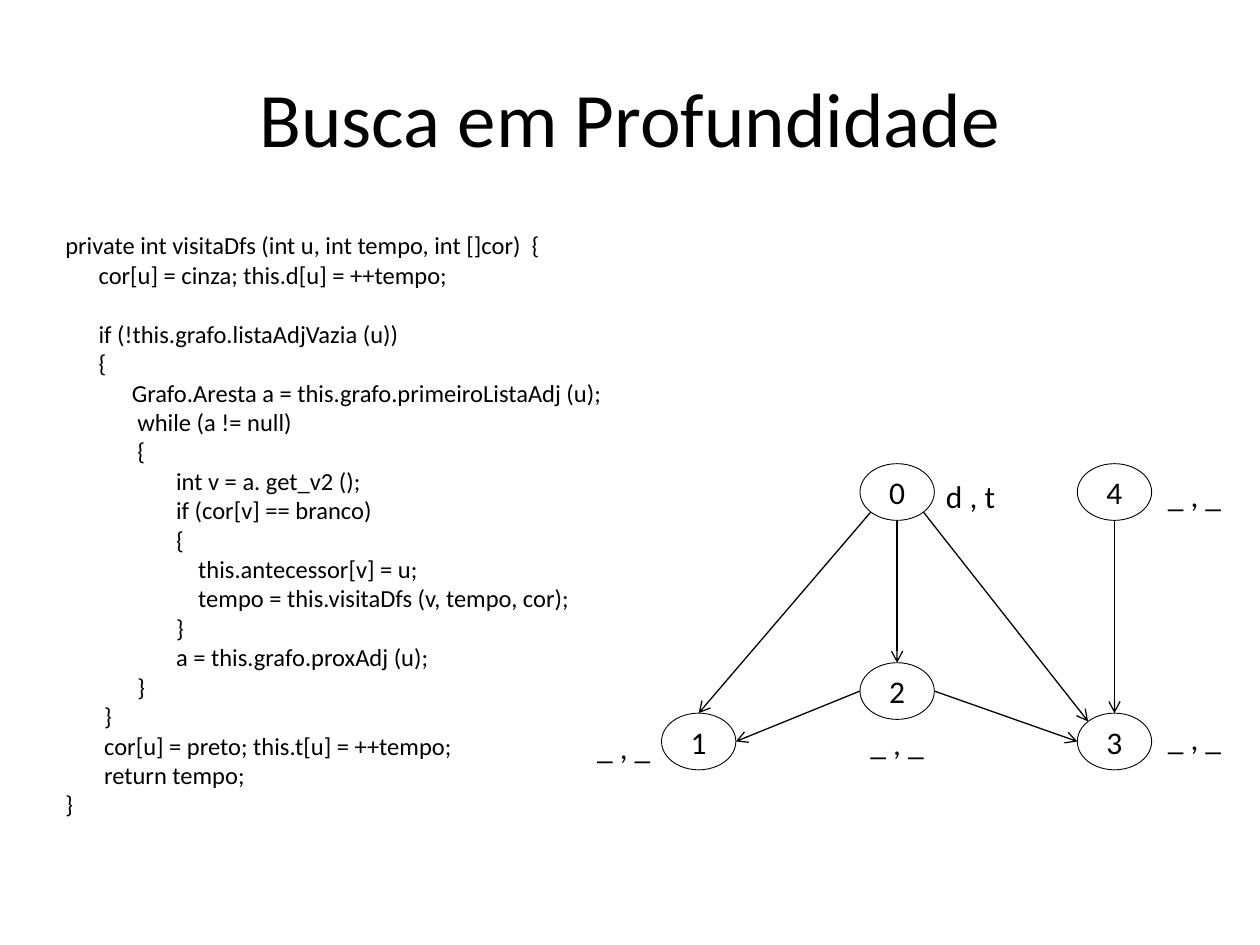
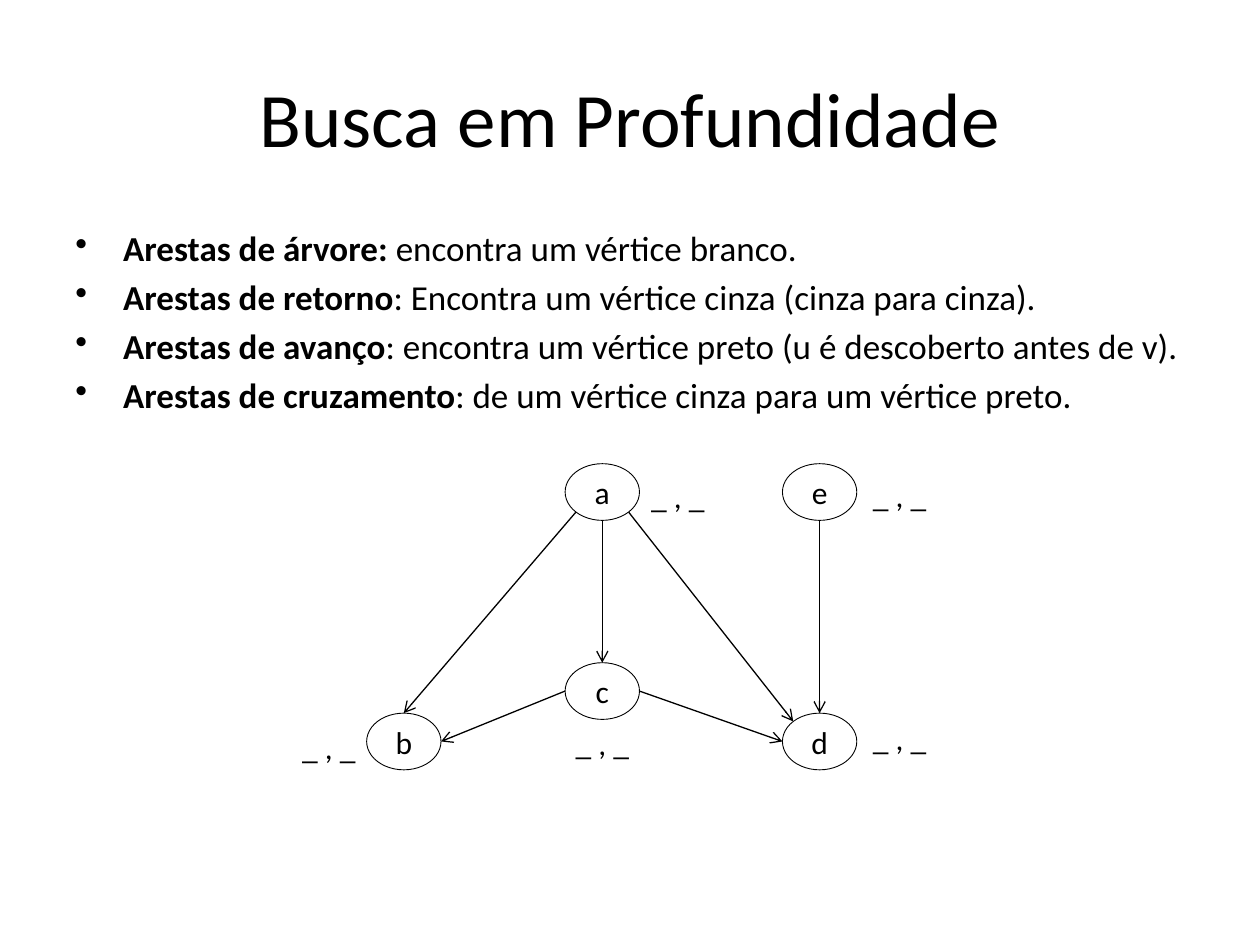
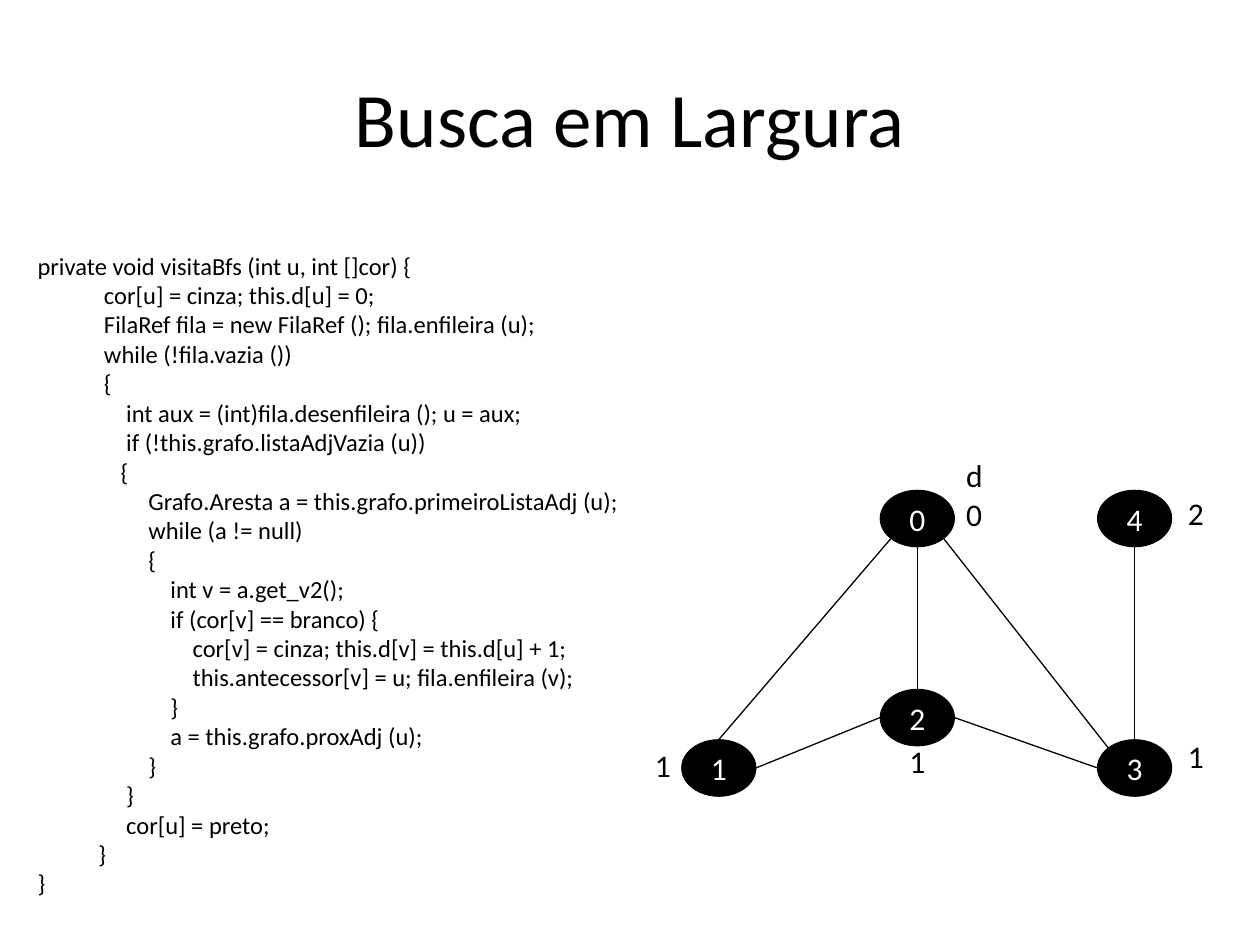
from lxml import etree
from pptx import Presentation
from pptx.dml.color import RGBColor
from pptx.enum import shapes, text
from pptx.oxml.ns import qn
from pptx.util import Inches, Pt

FONT = "Calibri"
BLACK, WHITE = "000000", "FFFFFF"
CENTER = text.PP_ALIGN.CENTER

# The slide is a grid of 100 columns by 75 rows of square cells
COLUMNS = 100
TITLE_BOX = (5, 3, 90, 12.5)
BODY_BOX = (5, 17.5, 90, 49.5)
NODE_W, NODE_H = 5.9, 4.5
LABEL_H = 4

# Node places, relative to the top left of the graph
NODES = [(15.75, 0), (0, 19.8), (15.75, 15.8), (33, 19.8), (33, 0)]

# Points on a node's outline, as shares of its half width and half height
TOP, BOTTOM, LEFT, RIGHT = (0, -1), (0, 1), (-1, 0), (1, 0)
LOWER_LEFT, LOWER_RIGHT, UPPER_LEFT = (-0.71, 0.71), (0.71, 0.71), (-0.71, -0.71)
EDGES = [
    (0, LOWER_LEFT, 1, TOP),
    (0, BOTTOM, 2, TOP),
    (0, LOWER_RIGHT, 3, UPPER_LEFT),
    (2, LEFT, 1, RIGHT),
    (2, RIGHT, 3, LEFT),
    (4, BOTTOM, 3, TOP),
]

DFS_CODE = [
    "private int visitaDfs (int u, int tempo, int []cor)  {",
    "      cor[u] = cinza; this.d[u] = ++tempo;",
    "        ",
    "      if (!this.grafo.listaAdjVazia (u))",
    "      {",
    "            Grafo.Aresta a = this.grafo.primeiroListaAdj (u);",
    "             while (a != null)",
    "             {",
    "                    int v = a. get_v2 ();",
    "                    if (cor[v] == branco)",
    "                    {",
    "                        this.antecessor[v] = u;",
    "                        tempo = this.visitaDfs (v, tempo, cor);",
    "                    }",
    "                    a = this.grafo.proxAdj (u);",
    "             }",
    "       }",
    "       cor[u] = preto; this.t[u] = ++tempo;",
    "       return tempo;",
    "}",
]

BFS_CODE = [
    "private void visitaBfs (int u, int []cor) {",
    "            cor[u] = cinza; this.d[u] = 0;",
    "            FilaRef fila = new FilaRef (); fila.enfileira (u);",
    "            while (!fila.vazia ())",
    "            {",
    "                int aux = (int)fila.desenfileira (); u = aux;",
    "                if (!this.grafo.listaAdjVazia (u))",
    "               {",
    "                    Grafo.Aresta a = this.grafo.primeiroListaAdj (u);",
    "                    while (a != null)",
    "                    {",
    "                        int v = a.get_v2();",
    "                        if (cor[v] == branco) {",
    "                            cor[v] = cinza; this.d[v] = this.d[u] + 1;",
    "                            this.antecessor[v] = u; fila.enfileira (v);",
    "                        }",
    "                        a = this.grafo.proxAdj (u);",
    "                    }",
    "                }",
    "                cor[u] = preto;",
    "           }",
    "}",
]

EDGE_KINDS = [
    ("Arestas de árvore: ", "encontra um vértice branco."),
    ("Arestas de retorno", ": Encontra um vértice cinza (cinza para cinza)."),
    ("Arestas de avanço", ": encontra um vértice preto (u é descoberto antes de v)."),
    ("Arestas de cruzamento", ": de um vértice cinza para um vértice preto."),
]

prs = Presentation()
prs.slide_width, prs.slide_height = Inches(10), Inches(7.5)


def cells(*counts):
    return [round(prs.slide_width * n / COLUMNS) for n in counts]


def rgb(color):
    return RGBColor.from_string(color)


def style_text(tf, size, color=BLACK, align=None):
    for p in tf.paragraphs:
        p.alignment = align
        for r in p.runs:
            r.font.name, r.font.size = FONT, Pt(size)
            r.font.color.rgb = rgb(color)


def add_text(slide, box, content, size, align=None, wrap=False):
    tf = slide.shapes.add_textbox(*cells(*box)).text_frame
    tf.text = content
    tf.word_wrap = wrap
    if not wrap:
        tf.auto_size = text.MSO_AUTO_SIZE.SHAPE_TO_FIT_TEXT
    style_text(tf, size, align=align)
    return tf


def add_titled_slide(title):
    slide = prs.slides.add_slide(prs.slide_layouts[6])
    tf = add_text(slide, TITLE_BOX, title, 44, CENTER, wrap=True)
    tf.vertical_anchor = text.MSO_ANCHOR.MIDDLE
    return slide


def add_code(slide, box, lines):
    add_text(slide, box, "\n".join(lines), 14)


def add_bullets(slide, box, items):
    tf = add_text(slide, box, "", 20, wrap=True)
    for i, (term, meaning) in enumerate(items):
        p = tf.paragraphs[0] if i == 0 else tf.add_paragraph()
        pPr = p._p.get_or_add_pPr()
        pPr.set("marL", str(Inches(0.38)))
        pPr.set("indent", str(-Inches(0.38)))
        etree.SubElement(pPr, qn("a:buChar"), char="•")
        p.space_before = Pt(4 if i else 0)
        for words, bold in ((term, True), (meaning, False)):
            r = p.add_run()
            r.text = words
            r.font.bold = bold
    style_text(tf, 20)


def add_node(slide, x, y, name, fill, color):
    sp = slide.shapes.add_shape(shapes.MSO_SHAPE.OVAL, *cells(x, y, NODE_W, NODE_H))
    sp.shadow.inherit = False
    sp.fill.solid()
    sp.fill.fore_color.rgb = rgb(fill)
    sp.line.color.rgb = rgb(BLACK)
    sp.line.width = Pt(0.5)
    tf = sp.text_frame
    tf.text = name
    tf.word_wrap = False
    tf.vertical_anchor = text.MSO_ANCHOR.MIDDLE
    style_text(tf, 18, color, CENTER)


def add_edge(slide, start, end, arrow):
    line = slide.shapes.add_connector(
        shapes.MSO_CONNECTOR.STRAIGHT, *cells(*start, *end))
    line.line.color.rgb = rgb(BLACK)
    line.line.width = Pt(0.75)
    if arrow:
        etree.SubElement(line.line._get_or_add_ln(), qn("a:tailEnd"), type="arrow")
    etree.SubElement(line._element.spPr, qn("a:effectLst"))


def add_graph(slide, left, top, names, labels, label_w, label_y=0,
              fill=WHITE, color=BLACK, directed=True):
    """Draw the five-node graph; labels follow the order of the nodes."""
    def outline_point(node, side):
        x, y = NODES[node]
        return (left + x + NODE_W / 2 * (1 + side[0]),
                top + y + NODE_H / 2 * (1 + side[1]))

    # Edges and nodes
    for source, out_side, target, in_side in EDGES:
        add_edge(slide, outline_point(source, out_side),
                 outline_point(target, in_side), directed)
    for (x, y), name in zip(NODES, names):
        add_node(slide, left + x, top + y, name, fill, color)

    # Labels: right of the node, left of node 1, below node 2
    places = [(21.6, 0.6), (0.2 - label_w, 20.5), (18.75 - label_w / 2, 20.2),
              (39.2, 19.8), (39.2, 0.5)]
    for (x, y), label in zip(places, labels):
        add_text(slide, (left + x, top + y + label_y, label_w, LABEL_H), label, 18)


def build_dfs_code():
    slide = add_titled_slide("Busca em Profundidade")
    add_code(slide, (4.2, 17.8, 44.9, 48.1), DFS_CODE)
    add_graph(slide, 52.5, 36.8, "01234", ["d , t"] + ["_ , _"] * 4, 6.3)


def build_edge_kinds():
    slide = add_titled_slide("Busca em Profundidade")
    add_graph(slide, 29.1, 36.8, "abcde", ["_ , _"] * 5, 6.3)
    add_bullets(slide, BODY_BOX, EDGE_KINDS)


def build_bfs_code():
    slide = add_titled_slide("Busca em Largura")
    add_code(slide, (2, 19.4, 48.4, 52.8), BFS_CODE)
    add_graph(slide, 54.1, 38.9, "01234", "01112", 3.3, label_y=-0.7,
              fill=BLACK, color=WHITE, directed=False)
    add_text(slide, (75.7, 35.7, 3.3, LABEL_H), "d", 18)


if __name__ == "__main__":
    build_dfs_code()
    build_edge_kinds()
    build_bfs_code()
    prs.save("out.pptx")
